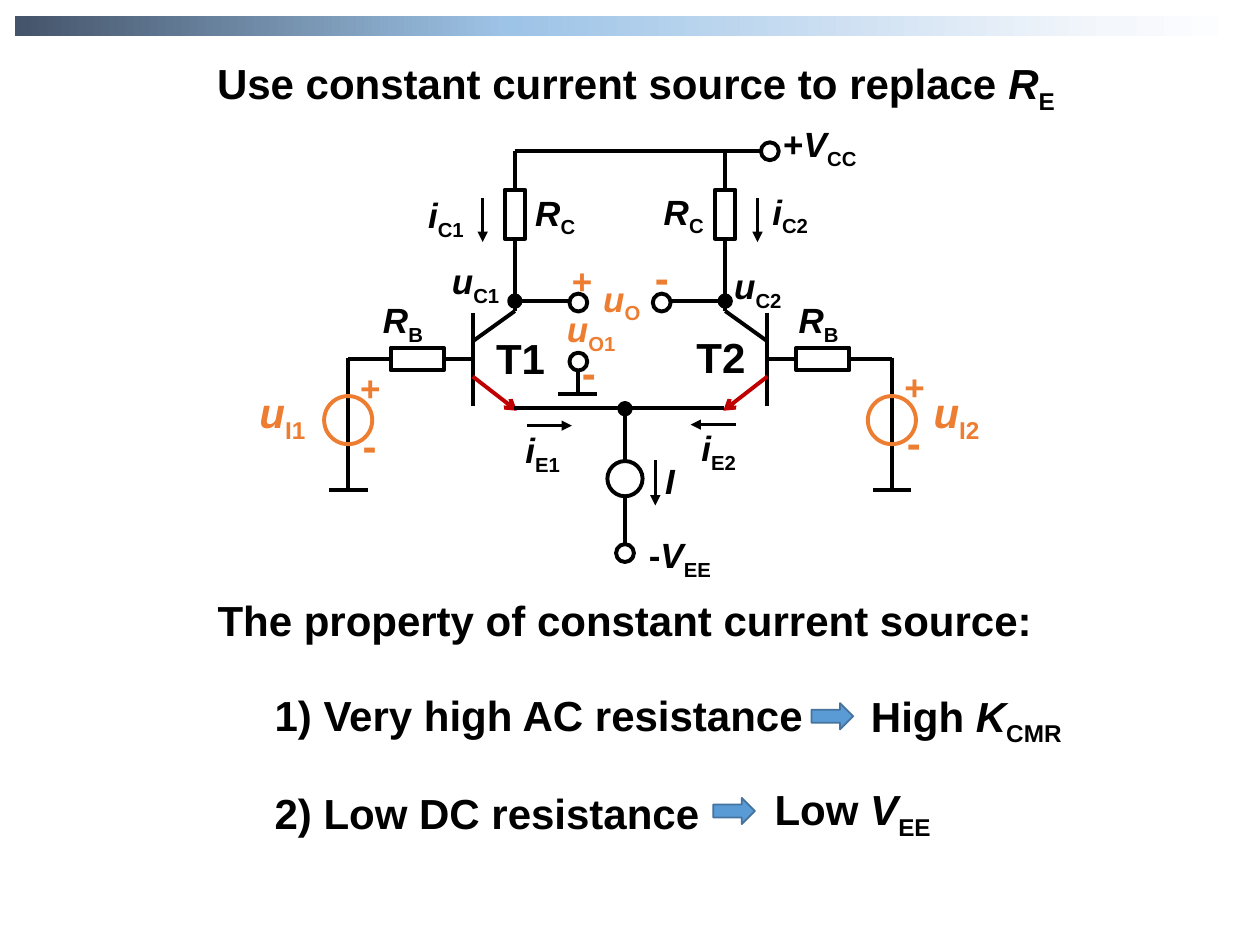
from dataclasses import dataclass
from lxml.etree import SubElement
from pptx import Presentation
from pptx.dml.color import RGBColor as Rgb
from pptx.enum.shapes import MSO_CONNECTOR as Conn, MSO_SHAPE as Kind
from pptx.enum.text import MSO_ANCHOR as Anchor, MSO_AUTO_SIZE as Fit, PP_ALIGN as Align
from pptx.oxml.ns import qn
from pptx.util import Cm, Pt


@dataclass(frozen=True)
class Theme:
    font: str = "Arial"
    ink: str = "000000"
    paper: str = "FFFFFF"
    signal: str = "ED7D31"
    emit: str = "C00000"
    block: str = "5B9BD5"
    edge: str = "43739E"
    fade: tuple = ((0, "44546A"), (40, "9DC3E6"), (89, "F4F7FC"), (100, "FFFFFF"))
    big: int = 24
    small: int = 20
    bold: float = 2.25
    thin: float = 1.5
    fine: float = 1


LOOK = Theme()
AXIS = 12.5


@dataclass(frozen=True)
class Wire:
    x1: float
    y1: float
    x2: float
    y2: float
    color: str = LOOK.ink
    width: float = LOOK.bold
    tip: str = ""


@dataclass(frozen=True)
class Part:
    x: float
    y: float
    w: float
    h: float
    kind: Kind = Kind.OVAL
    fill: str = LOOK.paper
    line: str = LOOK.ink
    width: float = LOOK.bold


@dataclass(frozen=True)
class Label:
    x: float
    y: float
    w: float
    lead: str
    sym: str = ""
    sub: str = ""
    size: int = LOOK.small
    color: str = LOOK.ink
    align: Align = Align.LEFT


def write(par, lead: str, sym: str = "", sub: str = "",
          size: int = LOOK.big, color: str = LOOK.ink) -> None:
    for text, slant, drop in ((lead, False, False), (sym, True, False), (sub, False, True)):
        if not text:
            continue
        run = par.add_run()
        run.text = text
        font = run.font
        font.name, font.size = LOOK.font, Pt(size)
        font.bold, font.italic = True, slant
        font.color.rgb = Rgb.from_string(color)
        if drop:
            run._r.get_or_add_rPr().set("baseline", "-25000")


def place(shape, x: float, y: float, w: float, h: float) -> None:
    shape.left, shape.top, shape.width, shape.height = Cm(x), Cm(y), Cm(w), Cm(h)
    frame = shape.text_frame
    frame.word_wrap, frame.auto_size = True, Fit.NONE
    frame.vertical_anchor = Anchor.TOP


def draw_wire(wire: Wire) -> None:
    line = slide.shapes.add_connector(
        Conn.STRAIGHT, Cm(wire.x1), Cm(wire.y1), Cm(wire.x2), Cm(wire.y2))
    line.line.color.rgb = Rgb.from_string(wire.color)
    line.line.width = Pt(wire.width)
    if wire.tip:
        SubElement(line.line._get_or_add_ln(), qn("a:tailEnd")).set("type", wire.tip)
    SubElement(line._element.spPr, qn("a:effectLst"))


def draw_part(part: Part) -> None:
    shape = slide.shapes.add_shape(
        part.kind, Cm(part.x - part.w / 2), Cm(part.y - part.h / 2), Cm(part.w), Cm(part.h))
    shape.shadow.inherit = False
    if part.fill:
        shape.fill.solid()
        shape.fill.fore_color.rgb = Rgb.from_string(part.fill)
    else:
        shape.fill.background()
    shape.line.color.rgb = Rgb.from_string(part.line)
    shape.line.width = Pt(part.width)


def draw_label(tag: Label) -> None:
    high = 1.5 if tag.sub and tag.size == LOOK.big else 1.3
    box = slide.shapes.add_textbox(0, 0, 0, 0)
    place(box, tag.x, tag.y, tag.w, high)
    par = box.text_frame.paragraphs[0]
    par.alignment = tag.align
    write(par, tag.lead, tag.sym, tag.sub, tag.size, tag.color)


def draw_band() -> None:
    band = slide.shapes.add_shape(Kind.RECTANGLE, Cm(0.3), Cm(0.33), Cm(24.8), Cm(0.4))
    band.shadow.inherit = False
    band.line.fill.background()
    band.fill.gradient()
    band.fill.gradient_angle = 0
    stops = band._element.spPr.find(qn("a:gradFill")).find(qn("a:gsLst"))
    for old in list(stops):
        stops.remove(old)
    for pos, color in LOOK.fade:
        stop = SubElement(stops, qn("a:gs"))
        stop.set("pos", str(pos * 1000))
        SubElement(stop, qn("a:srgbClr")).set("val", color)


deck = Presentation()
deck.slide_width, deck.slide_height = Cm(25.4), Cm(19.05)
slide = deck.slides.add_slide(deck.slide_layouts[1])
draw_band()

title, body = slide.placeholders
place(title, 0.3, 1.04, 25.04, 1.5)
head = title.text_frame.paragraphs[0]
head.alignment = Align.CENTER
write(head, "Use constant current source to replace ", "R", "E")

place(body, 5.28, 13.77, 11.4, 3.2)
for i, text in enumerate(("1) Very high AC resistance", "2) Low DC resistance")):
    par = body.text_frame.add_paragraph() if i else body.text_frame.paragraphs[0]
    par.space_before = Pt(27 * i)
    props = par._p.get_or_add_pPr()
    props.set("marL", "0")
    props.set("indent", "0")
    SubElement(props, qn("a:buNone"))
    write(par, text)

HALF = (
    Wire(2.97, 6.3, 2.97, 8.18),
    Wire(2.97, 7.24, 5.48, 7.24),
    Wire(2.97, 6.88, 2.12, 6.27),
    Wire(2.97, 7.59, 2.08, 8.28, LOOK.emit, tip="arrow"),
    Wire(2.12, 6.27, 2.12, 3.05),
    Wire(2.12, 6.07, 1.02, 6.07),
    Wire(5.48, 7.21, 5.48, 9.88),
    Wire(5.87, 9.88, 5.09, 9.88),
    Wire(2.77, 3.99, 2.77, 4.88, width=LOOK.thin, tip="triangle"),
)
PAIRS = (
    Part(4.09, 7.24, 1.07, 0.46, Kind.RECTANGLE),
    Part(2.12, 4.32, 0.41, 0.99, Kind.RECTANGLE),
    Part(0.84, 6.1, 0.36, 0.36),
    Part(2.12, 6.07, 0.23, 0.23, fill=LOOK.ink),
    Part(5.48, 8.47, 0.97, 0.97, fill="", line=LOOK.signal),
)
WIRES = (
    Wire(15.47, 3.05, 10.38, 3.05),
    Wire(10.36, 8.23, 14.6, 8.23),
    Wire(12.6, 8.2, 12.6, 11.2),
    Wire(11.66, 7.39, 11.66, 7.95),
    Wire(11.25, 7.95, 12.04, 7.95),
    Wire(10.62, 8.58, 11.53, 8.58, width=LOOK.thin, tip="triangle"),
    Wire(14.83, 8.56, 13.92, 8.56, width=LOOK.thin, tip="triangle"),
    Wire(13.21, 9.27, 13.21, 10.19, width=LOOK.thin, tip="triangle"),
)
PARTS = (
    Part(11.66, 7.29, 0.36, 0.36),
    Part(15.52, 3.05, 0.36, 0.36),
    Part(12.6, 11.15, 0.36, 0.36),
    Part(12.6, 8.24, 0.23, 0.23, fill=LOOK.ink),
    Part(12.6, 9.65, 0.71, 0.71),
    Part(16.78, 14.44, 0.84, 0.53, Kind.RIGHT_ARROW, LOOK.block, LOOK.edge, LOOK.fine),
    Part(14.8, 16.35, 0.84, 0.53, Kind.RIGHT_ARROW, LOOK.block, LOOK.edge, LOOK.fine),
)
HOT = {"color": LOOK.signal}
BIG = {"size": LOOK.big}
MID = {"size": LOOK.big, "align": Align.CENTER}
LABELS = (
    Label(15.54, 2.34, 2.21, "+", "V", "CC"), Label(12.83, 10.64, 1.9, "-", "V", "EE"),
    Label(10.54, 3.73, 1.47, "", "R", "C"), Label(13.13, 3.71, 1.55, "", "R", "C"),
    Label(7.47, 5.89, 1.63, "", "R", "B"), Label(15.85, 5.89, 1.63, "", "R", "B"),
    Label(8.38, 3.78, 1.63, "", "i", "C1"), Label(15.32, 3.71, 1.47, "", "i", "C2"),
    Label(8.86, 5.11, 1.63, "", "u", "C1"), Label(14.55, 5.21, 1.63, "", "u", "C2"),
    Label(10.34, 8.51, 1.32, "", "i", "E1"), Label(13.89, 8.48, 1.32, "", "i", "E2"),
    Label(13.16, 9.14, 0.75, "", "I"),
    Label(9.75, 6.58, 1.63, "T1", **BIG), Label(13.79, 6.55, 1.63, "T2", **BIG),
    Label(4.98, 7.67, 1.65, "", "u", "I1", **BIG, **HOT),
    Label(18.57, 7.67, 1.65, "", "u", "I2", **BIG, **HOT),
    Label(11.91, 5.46, 1.63, "", "u", "O", **HOT),
    Label(11.18, 6.07, 1.63, "", "u", "O1", **HOT),
    *(Label(x, y, 1, "+", **HOT) for x, y in ((11.28, 5.11), (7.01, 7.26), (17.98, 7.24))),
    *(Label(x, y, 1.04, "-", **BIG, **HOT)
      for x, y in ((12.95, 4.95), (7.06, 8.33), (18.03, 8.28), (11.48, 6.86))),
    Label(2.64, 11.86, 19.91, "The property of constant current source:", **MID),
    Label(16.99, 13.79, 4.98, "High ", "K", "CMR", **MID),
    Label(15.21, 15.67, 3.96, "Low ", "V", "EE", **MID),
)

for side in (-1, 1):
    for w in HALF:
        draw_wire(Wire(AXIS + side * w.x1, w.y1, AXIS + side * w.x2, w.y2,
                       w.color, w.width, w.tip))
for wire in WIRES:
    draw_wire(wire)
for side in (-1, 1):
    for p in PAIRS:
        draw_part(Part(AXIS + side * p.x, p.y, p.w, p.h, p.kind, p.fill, p.line, p.width))
for part in PARTS:
    draw_part(part)
for tag in LABELS:
    draw_label(tag)

deck.save("out.pptx")
